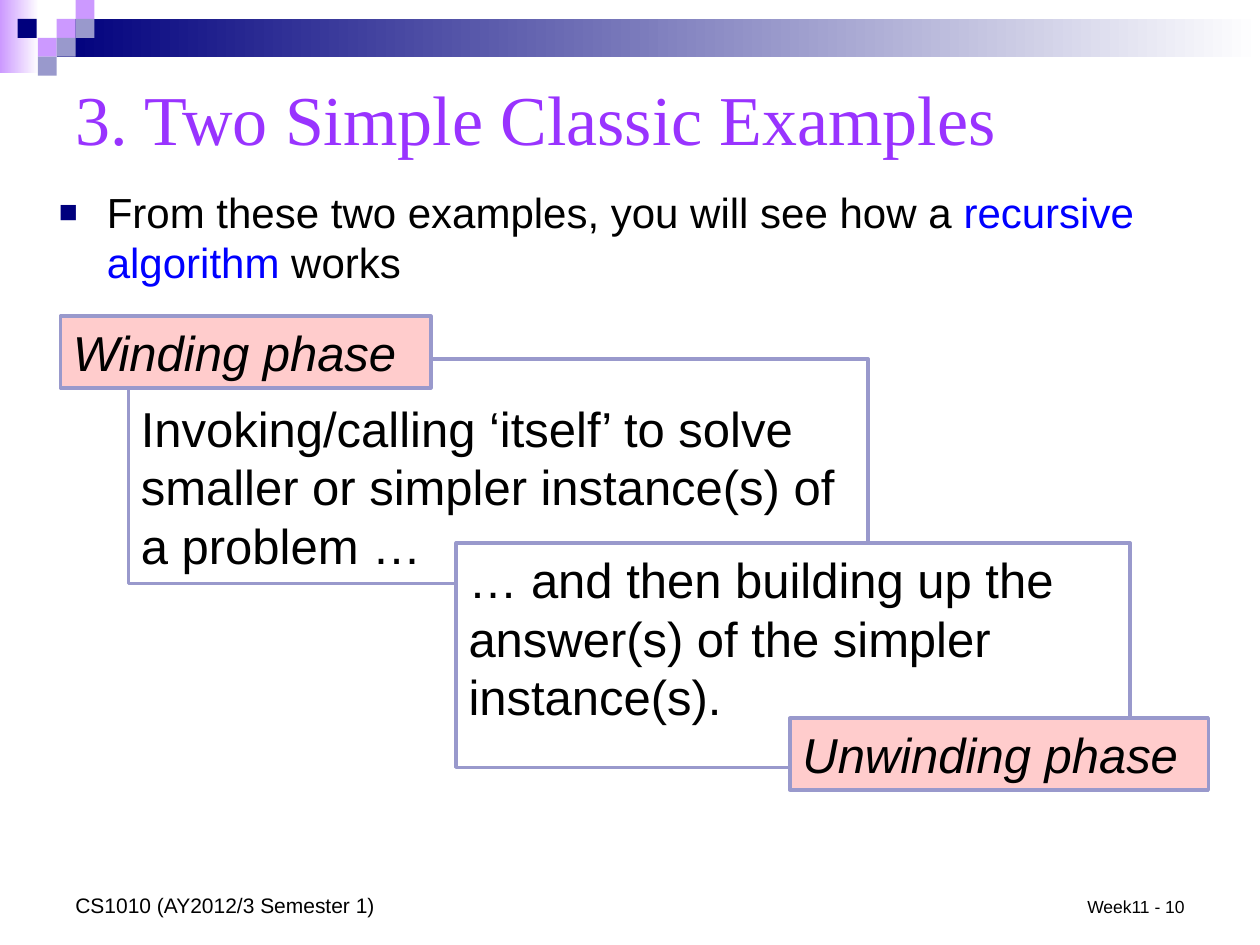
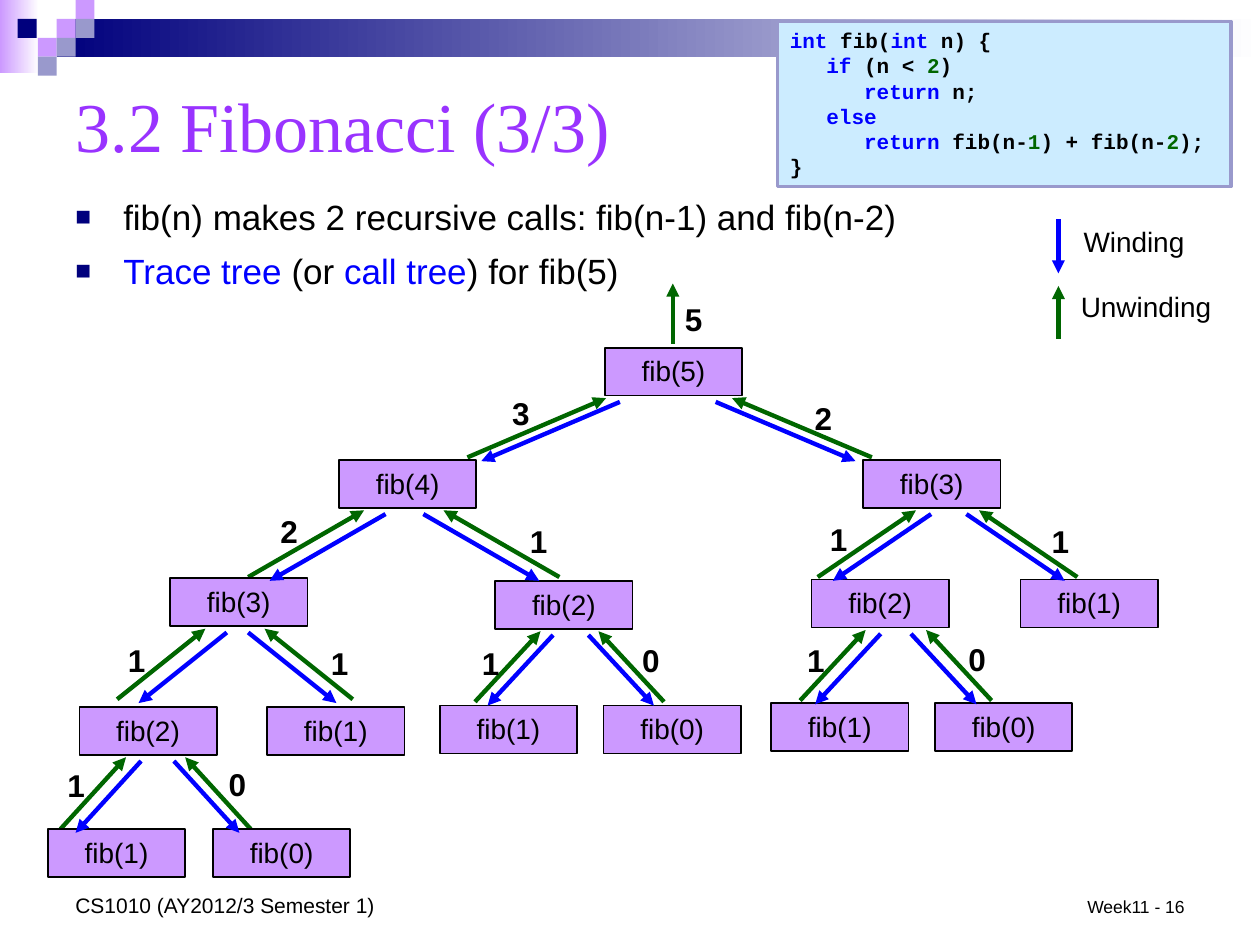
from dataclasses import dataclass

from lxml.etree import SubElement
from pptx import Presentation
from pptx.dml.color import RGBColor
from pptx.enum.shapes import MSO_CONNECTOR, MSO_SHAPE
from pptx.enum.text import MSO_ANCHOR, MSO_AUTO_SIZE, PP_ALIGN
from pptx.oxml.ns import qn
from pptx.util import Pt

PX = 9144  # 100 px to the inch


@dataclass(frozen=True)
class Theme:
    # Colours
    navy: str = "00007D"
    violet: str = "CC99FF"
    slate: str = "9999CC"
    title: str = "9933FF"
    ink: str = "000000"
    paper: str = "FFFFFF"
    pink: str = "FFCCCC"
    sky: str = "CCECFF"
    blue: str = "0000FF"
    green: str = "006600"
    # Fonts and type sizes
    sans: str = "Arial"
    serif: str = "Times New Roman"
    mono: str = "Courier New"
    title_size: int = 40
    phase_size: int = 28
    lead_size: int = 24
    body_size: int = 20
    result_size: int = 18
    node_size: int = 16
    small_size: int = 12
    number_size: int = 10


THEME = Theme()


@dataclass(frozen=True)
class Call:
    """One call in the trace tree; offsets are from the calling node."""
    name: str
    offset: tuple
    result: int
    result_at: tuple
    tip: int      # where the unwinding arrow ends
    start: int    # where the winding arrow begins
    run: int      # sideways reach of both arrows
    calls: tuple = ()


# ---- Shared helpers ----

def rgb(value):
    return RGBColor.from_string(value)


def emu(*lengths):
    return [length * PX for length in lengths]


def add_bullet(para):
    props = para._p.get_or_add_pPr()
    props.set("marL", str(38 * PX))
    props.set("indent", str(-38 * PX))
    color = SubElement(props, qn("a:buClr"))
    SubElement(color, qn("a:srgbClr"), val=THEME.navy)
    SubElement(props, qn("a:buSzPct"), val="75000")
    SubElement(props, qn("a:buFont"), typeface=THEME.sans)
    SubElement(props, qn("a:buChar"), char="■")


def write(shape, paras, size, font=THEME.sans, color=THEME.ink, bold=False,
          italic=False, align=PP_ALIGN.LEFT, anchor=MSO_ANCHOR.TOP,
          bullet=False, gap=0, insets=(10, 5, 10, 5), indents=()):
    """Fill a shape; a paragraph is a string or a list of strings and (string, colour)."""
    frame = shape.text_frame
    frame.word_wrap = True
    frame.auto_size = MSO_AUTO_SIZE.NONE
    frame.vertical_anchor = anchor
    (frame.margin_left, frame.margin_top,
     frame.margin_right, frame.margin_bottom) = emu(*insets)
    for index, spans in enumerate([paras] if isinstance(paras, str) else paras):
        para = frame.add_paragraph() if index else frame.paragraphs[0]
        if bullet:
            add_bullet(para)
        para.alignment = align
        para.space_before = Pt(gap if index else 0)
        if indents:
            para._p.get_or_add_pPr().set("marL", str(indents[index] * PX))
        for part in [spans] if isinstance(spans, str) else spans:
            text, tint = (part, color) if isinstance(part, str) else part
            span = para.add_run()
            span.text = text
            span.font.name, span.font.size = font, Pt(size)
            span.font.bold, span.font.italic = bold, italic
            span.font.color.rgb = rgb(tint)


def add_text(page, box, paras, size, **style):
    write(page.shapes.add_textbox(*emu(*box)), paras, size, **style)


def add_rect(page, box, fill, line=None, width=2):
    rect = page.shapes.add_shape(MSO_SHAPE.RECTANGLE, *emu(*box))
    rect.shadow.inherit = False
    if isinstance(fill, tuple):
        rect.fill.gradient()
        rect.fill.gradient_angle = 0
        for stop, color in zip(rect.fill.gradient_stops, fill):
            stop.color.rgb = rgb(color)
    else:
        rect.fill.solid()
        rect.fill.fore_color.rgb = rgb(fill)
    if line:
        rect.line.color.rgb = rgb(line)
        rect.line.width = Pt(width)
    else:
        rect.line.fill.background()
    return rect


def add_arrow(page, begin, end, color):
    arrow = page.shapes.add_connector(MSO_CONNECTOR.STRAIGHT, *emu(*begin, *end))
    arrow.line.color.rgb = rgb(color)
    arrow.line.width = Pt(2.5)
    SubElement(arrow.line._get_or_add_ln(), qn("a:tailEnd"), type="triangle")
    SubElement(arrow._element.spPr, qn("a:effectLst"))


# ---- Frame shared by all slides ----

def add_band(page):
    add_rect(page, (0, 0, 31, 58), (THEME.violet, THEME.paper))
    add_rect(page, (45, 15, 955, 30), (THEME.navy, THEME.paper))
    cell = 15
    squares = {THEME.violet: ((45, 15), (60, 0), (30, 30)),
               THEME.slate: ((60, 15), (45, 30), (30, 45)),
               THEME.navy: ((14, 15),)}
    for color, corners in squares.items():
        for left, top in corners:
            add_rect(page, (left, top, cell, cell), color)


def add_page(deck, title, title_box, number):
    page = deck.slides.add_slide(deck.slide_layouts[5])
    add_band(page)
    heading = page.shapes.title
    heading.left, heading.top, heading.width, heading.height = emu(*title_box)
    write(heading, title, THEME.title_size, font=THEME.serif, color=THEME.title,
          anchor=MSO_ANCHOR.MIDDLE)
    add_text(page, (717, 683, 233, 50), f"Week11 - {number}", THEME.number_size,
             align=PP_ALIGN.RIGHT, anchor=MSO_ANCHOR.BOTTOM)
    add_text(page, (50, 683, 317, 50), "CS1010 (AY2012/3 Semester 1)",
             THEME.small_size, anchor=MSO_ANCHOR.BOTTOM)
    return page


# ---- Slide: two classic examples ----

def add_phases(page, box):
    left, top = box
    panels = (
        ((54, 34, 587, 178), THEME.paper, 31,
         "Invoking/calling ‘itself’ to solve smaller or simpler instance(s) of a problem …"),
        ((314, 180, 535, 178), THEME.paper, 5,
         "… and then building up the answer(s) of the simpler instance(s)."),
        ((0, 0, 294, 57), THEME.pink, 5, "Winding phase"),
        ((579, 319, 332, 57), THEME.pink, 5, "Unwinding phase"),
    )
    for (dx, dy, width, height), fill, inset, text in panels:
        panel = add_rect(page, (left + dx, top + dy, width, height), fill, THEME.slate)
        write(panel, text, THEME.phase_size, italic=fill == THEME.pink,
              insets=(10, inset, 10, 5))


def build_examples(deck):
    page = add_page(deck, "3. Two Simple Classic Examples", (50, 50, 923, 87), 10)
    add_text(page, (37, 143, 900, 92),
             [["From these two examples, you will see how a ",
               ("recursive algorithm ", THEME.blue), "works"]],
             THEME.lead_size, bullet=True)
    add_phases(page, (48, 251))


# ---- Slide: Fibonacci trace tree ----

NODE = (109, 38)
RISES = (47, 53, 56, 57)

TREE = (
    Call("fib(4)", (-211, 89), 3, (-83, 37), 1, 12, -110, (
        Call("fib(3)", (-134, 94), 2, (-56, 41), 20, 37, -92, (
            Call("fib(2)", (-72, 102), 1, (-43, 50), 28, 45, -70, (
                Call("fib(1)", (-25, 97), 1, (-19, 47), 37, 49, -52),
                Call("fib(0)", (106, 97), 0, (109, 46), 84, 75, 52))),
            Call("fib(1)", (77, 102), 1, (118, 52), 75, 62, 70))),
        Call("fib(2)", (124, 96), 1, (142, 49), 83, 67, 92, (
            Call("fib(1)", (-44, 99), 1, (-20, 50), 36, 46, -52),
            Call("fib(0)", (86, 99), 0, (107, 48), 82, 74, 52))))),
    Call("fib(3)", (205, 89), 2, (157, 41), 101, 88, 111, (
        Call("fib(2)", (-41, 95), 1, (-36, 48), 42, 54, -78, (
            Call("fib(1)", (-32, 98), 1, (-13, 49), 43, 55, -52),
            Call("fib(0)", (98, 98), 0, (115, 48), 91, 79, 52))),
        Call("fib(1)", (125, 95), 1, (140, 49), 92, 82, 78))),
)


def add_node(page, left, top, name):
    node = add_rect(page, (left, top, *NODE), THEME.violet, THEME.ink, 1)
    write(node, name, THEME.node_size, align=PP_ALIGN.CENTER)


def add_result(page, left, top, value):
    add_text(page, (left, top, 33, 31), str(value), THEME.result_size, bold=True,
             align=PP_ALIGN.CENTER, insets=(0, 0, 0, 0))


def add_calls(page, left, top, calls, depth=0):
    for call in calls:
        rise = RISES[depth]
        child_left, child_top = left + call.offset[0], top + call.offset[1]
        tip = (left + call.tip, top + 40)
        start = (left + call.start, top + 43)
        add_arrow(page, (tip[0] + call.run, tip[1] + rise), tip, THEME.green)
        add_result(page, left + call.result_at[0], top + call.result_at[1], call.result)
        add_node(page, child_left, child_top, call.name)
        add_arrow(page, start, (start[0] + call.run, start[1] + rise), THEME.blue)
        add_calls(page, child_left, child_top, call.calls, depth + 1)


def add_trace_tree(page, box):
    left, top = box
    middle = left + NODE[0] // 2
    add_arrow(page, (middle, top - 3), (middle, top - 51), THEME.green)
    add_result(page, middle, top - 38, 5)
    add_node(page, left, top, "fib(5)")
    add_calls(page, left, top, TREE)


def add_legend(page, box):
    left, top = box
    add_arrow(page, (left, top), (left, top + 43), THEME.blue)
    add_arrow(page, (left, top + 95), (left, top + 53), THEME.green)
    for dy, width, text in ((-1, 110, "Winding"), (51, 129, "Unwinding")):
        add_text(page, (left + 5, top + dy, width, 37), text, THEME.node_size,
                 align=PP_ALIGN.CENTER)


def add_code(page, box):
    def keyword(text):
        return text, THEME.blue

    def number(text):
        return text, THEME.green

    lines = [
        [keyword("int"), " fib(", keyword("int"), " n) {"],
        [keyword("if"), " (n < ", number("2"), ")"],
        [keyword("return"), " n;"],
        [keyword("else")],
        [keyword("return"), " fib(n-", number("1"), ") + fib(n-", number("2"), ");"],
        "}",
    ]
    panel = add_rect(page, box, THEME.sky, THEME.slate)
    write(panel, lines, THEME.small_size, font=THEME.mono, bold=True,
          indents=(0, 29, 59, 29, 59, 0))


def build_fibonacci(deck):
    page = add_page(deck, "3.2 Fibonacci (3/3)", (50, 50, 900, 98), 16)
    add_text(page, (50, 150, 771, 101),
             ["fib(n) makes 2 recursive calls: fib(n-1) and fib(n-2)",
              [("Trace tree ", THEME.blue), "(or ", ("call tree", THEME.blue),
               ") for fib(5)"]],
             THEME.body_size, bullet=True, gap=7)
    add_trace_tree(page, (480, 276))
    add_legend(page, (840, 174))
    add_code(page, (617, 17, 360, 131))


def main():
    deck = Presentation()
    deck.slide_width, deck.slide_height = emu(1000, 750)
    build_examples(deck)
    build_fibonacci(deck)
    deck.save("out.pptx")


if __name__ == "__main__":
    main()
